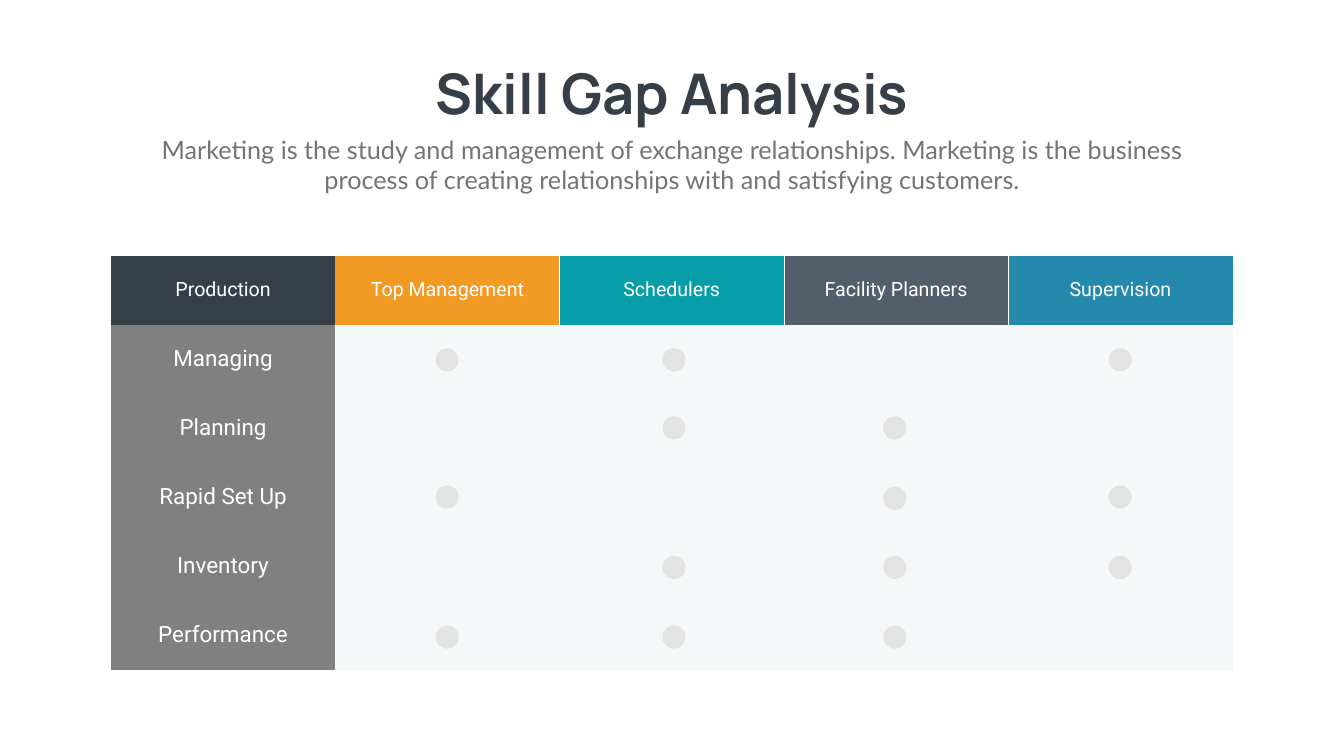
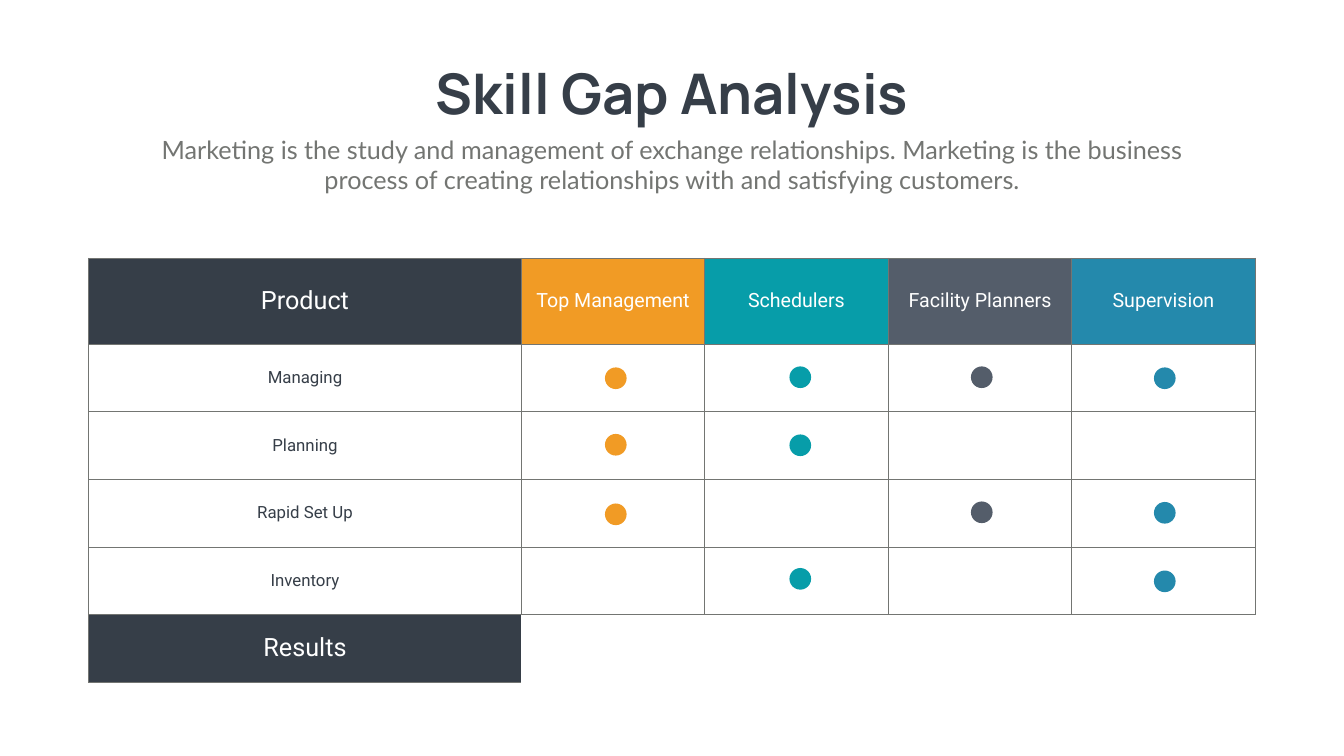
from dataclasses import dataclass

from lxml import etree
from pptx import Presentation
from pptx.dml.color import RGBColor
from pptx.enum import shapes, text
from pptx.oxml import ns
from pptx.util import Inches, Pt

NO_GRID = "{2D5ABB26-0587-4C30-8999-92F81FD0307C}"
TITLE = "Skill Gap Analysis"
INTRO = ("Marketing is the study and management of exchange relationships. "
         "Marketing is the business process of creating relationships "
         "with and satisfying customers.")
ROLES = ("Top Management", "Schedulers", "Facility Planners", "Supervision")
SKILLS = ("Managing", "Planning", "Rapid Set Up", "Inventory")


@dataclass(frozen=True)
class Theme:
    dark: str = "363E48"
    gray: str = "737572"
    side: str = "808080"
    pale: str = "F5F8F9"
    dot: str = "E3E3E3"
    white: str = "FFFFFF"
    roles: tuple = ("F19B25", "079DA9", "545D6A", "2489AC")
    head: str = "Manrope"
    body: str = "Lato"
    grid: str = "Roboto"
    title: int = 80
    large: int = 36
    label: int = 32
    role: int = 28
    small: int = 24


class Deck:
    def __init__(self, theme):
        self.theme = theme
        self.prs = Presentation()
        self.prs.slide_width = Inches(26.66)
        self.prs.slide_height = Inches(15)
        self.slide = None

    def page(self):
        """Start a slide with the shared title and introduction."""
        t = self.theme
        self.slide = self.prs.slides.add_slide(self.prs.slide_layouts[6])
        self.label((8.13, 1.12, 10.41, 1.45), TITLE, t.title, t.head, t.dark,
                   bold=True, wrap=False)
        self.label((2.92, 2.61, 20.82, 1.31), INTRO, t.large, t.body, t.gray)

    def add_run(self, frame, words, size, font, color, bold=False):
        para = frame.paragraphs[0]
        para.alignment = text.PP_ALIGN.CENTER
        run = para.add_run()
        run.text = words
        run.font.size = Pt(size)
        run.font.name = font
        run.font.bold = bold
        run.font.color.rgb = RGBColor.from_string(color)

    def label(self, box, words, size, font, color, bold=False, wrap=True):
        frame = self.slide.shapes.add_textbox(*map(Inches, box)).text_frame
        frame.word_wrap = wrap
        frame.auto_size = text.MSO_AUTO_SIZE.SHAPE_TO_FIT_TEXT
        self.add_run(frame, words, size, font, color, bold)

    def table(self, left, top, cols, rows):
        """Add a plain table with the given column widths and row heights."""
        frame = self.slide.shapes.add_table(
            len(rows), len(cols), Inches(left), Inches(top),
            Inches(sum(cols)), Inches(sum(rows)))
        table = frame.table
        table.first_row = table.horz_banding = False
        style = table._tbl.tblPr.find(ns.qn("a:tableStyleId"))
        style.text = NO_GRID
        for col, width in zip(table.columns, cols):
            col.width = Inches(width)
        for row, height in zip(table.rows, rows):
            row.height = Inches(height)
        return table

    def cell(self, cell, fill, words="", size=0, color="", sides="",
             line="", width=1):
        """Fill a cell, with lines on the sides named by L, R, T and B."""
        props = cell._tc.get_or_add_tcPr()
        for side in sides:
            edge = etree.SubElement(props, ns.qn("a:ln" + side),
                                    w=str(Pt(width)))
            solid = etree.SubElement(edge, ns.qn("a:solidFill"))
            etree.SubElement(solid, ns.qn("a:srgbClr"), val=line)
        cell.fill.solid()
        cell.fill.fore_color.rgb = RGBColor.from_string(fill)
        cell.vertical_anchor = text.MSO_ANCHOR.MIDDLE
        if words:
            self.add_run(cell.text_frame, words, size, self.theme.grid, color)

    def dots(self, left, tops, size, color):
        for top in tops:
            dot = self.slide.shapes.add_shape(
                shapes.MSO_SHAPE.OVAL, Inches(left), Inches(top),
                Inches(size), Inches(size))
            dot.shadow.inherit = False
            dot.fill.solid()
            dot.fill.fore_color.rgb = RGBColor.from_string(color)
            dot.line.fill.background()


def production(deck):
    t = deck.theme
    deck.page()
    table = deck.table(2.2, 5.07, [4.45] * 5, [1.37] * 6)
    deck.cell(table.cell(0, 0), t.dark, "Production", t.role, t.white)
    edges = ("R", "LR", "LR", "L")
    for col, (role, fill, sides) in enumerate(zip(ROLES, t.roles, edges), 1):
        deck.cell(table.cell(0, col), fill, role, t.role, t.white,
                  sides, t.white, 0.5)
    for row, skill in enumerate(SKILLS + ("Performance",), 1):
        deck.cell(table.cell(row, 0), t.side, skill, t.label, t.white)
        for col in range(1, 5):
            deck.cell(table.cell(row, col), t.pale)
    marks = {
        8.64: (6.91, 9.63, 12.41),
        13.14: (6.91, 8.26, 11.03, 12.41),
        17.52: (8.26, 9.66, 11.03, 12.41),
        21.99: (6.91, 9.63, 11.03),
    }
    for left, tops in marks.items():
        deck.dots(left, tops, 0.46, t.dot)


def product(deck):
    t = deck.theme
    deck.page()
    table = deck.table(1.76, 5.12, [8.58] + [3.64] * 4, [1.71] + [1.34] * 5)
    box = {"sides": "LRTB", "line": t.gray}
    deck.cell(table.cell(0, 0), t.dark, "Product", t.large, t.white, **box)
    for col, (role, fill) in enumerate(zip(ROLES, t.roles), 1):
        deck.cell(table.cell(0, col), fill, role, t.role, t.white, **box)
    for row, skill in enumerate(SKILLS, 1):
        deck.cell(table.cell(row, 0), t.white, skill, t.small, t.dark, **box)
        for col in range(1, 5):
            deck.cell(table.cell(row, col), t.white, **box)
    deck.cell(table.cell(5, 0), t.dark, "Results", t.large, t.white,
              "LTB", t.gray)
    for col in range(1, 5):
        deck.cell(table.cell(5, col), t.white, sides="T", line=t.gray)
    marks = {
        12: (7.29, 8.61, 9.99),
        15.66: (7.27, 8.62, 11.27),
        19.26: (7.27, 9.95),
        22.89: (7.29, 9.96, 11.32),
    }
    for (left, tops), color in zip(marks.items(), t.roles):
        deck.dots(left, tops, 0.43, color)


def main():
    deck = Deck(Theme())
    production(deck)
    product(deck)
    deck.prs.save("out.pptx")


if __name__ == "__main__":
    main()
